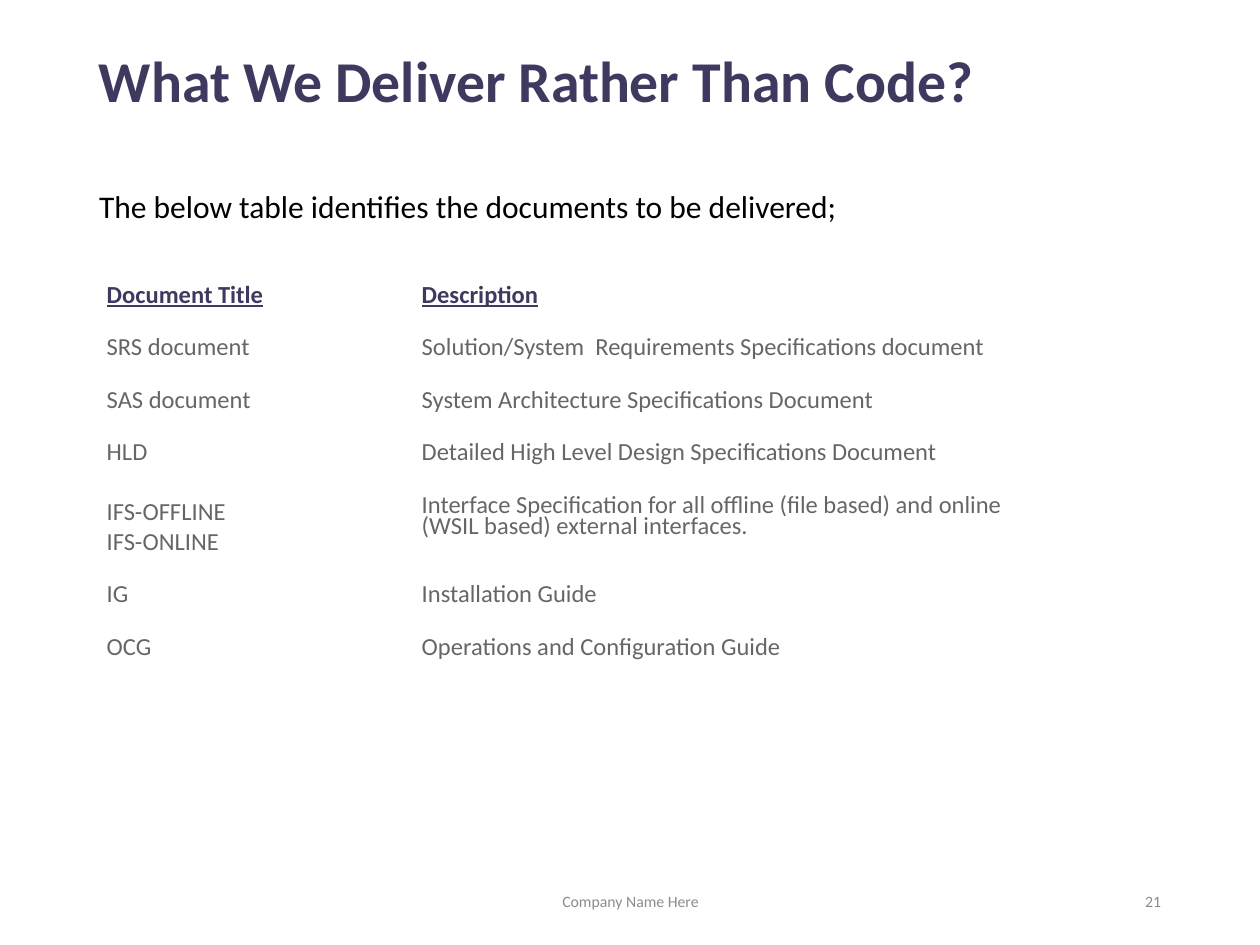
from dataclasses import dataclass

from pptx import Presentation
from pptx.dml.color import RGBColor
from pptx.enum.text import MSO_ANCHOR as Anchor, PP_ALIGN as Align
from pptx.util import Emu, Pt

EMU_PER_PX = 6350  # 144 px to the inch
FONT = "Calibri"
INDIGO = RGBColor(0x3E, 0x3A, 0x5F)
BLACK = RGBColor(0, 0, 0)
TEXT_GREY = RGBColor(0x66, 0x66, 0x66)
FOOTER_GREY = RGBColor(0x8C, 0x8C, 0x8C)

TABLE_LEFT, TABLE_TOP = 118, 294
COLUMN_WIDTHS = (360, 727)
ROW_HEIGHT = 60
CELL_SIDE, CELL_TOP = 4, 36
LIST_TOP, LIST_LINE = 34, 34


@dataclass(frozen=True)
class Style:
    size: float
    color: RGBColor
    bold: bool = False
    underline: bool = False


@dataclass(frozen=True)
class TextBlock:
    text: str
    left: int
    top: int
    width: int
    height: int
    style: Style
    align: Align = Align.LEFT
    anchor: Anchor = Anchor.MIDDLE
    line_spacing: float = 1.0


@dataclass(frozen=True)
class Document:
    titles: tuple[str, ...]
    description: str


HEADER = Style(14, INDIGO, bold=True, underline=True)
ENTRY = Style(14, TEXT_GREY)
FOOTER = Style(9, FOOTER_GREY)

BLOCKS = (
    TextBlock("What We Deliver Rather Than Code?", 99, -9, 1241, 209,
              Style(33, INDIGO, bold=True), line_spacing=0.9),
    TextBlock("The below table identifies the documents to be delivered;",
              99, 212, 1238, 147, Style(18, BLACK),
              anchor=Anchor.TOP, line_spacing=0.9),
    TextBlock("Company Name Here", 477, 1001, 487, 58, FOOTER, Align.CENTER),
    TextBlock("21", 1017, 1001, 324, 58, FOOTER, Align.RIGHT),
)

DOCUMENTS = (
    Document(("Document Title",), "Description"),
    Document(("SRS document",),
             "Solution/System  Requirements Specifications document"),
    Document(("SAS document",), "System Architecture Specifications Document"),
    Document(("HLD",), "Detailed High Level Design Specifications Document"),
    Document(("IFS-OFFLINE", "IFS-ONLINE"),
             "Interface Specification for all offline (file based) and online "
             "(WSIL based) external interfaces."),
    Document(("IG",), "Installation Guide"),
    Document(("OCG",), "Operations and Configuration Guide"),
)


def px(length: int) -> Emu:
    return Emu(length * EMU_PER_PX)


def add_run(paragraph, text: str, style: Style) -> None:
    run = paragraph.add_run()
    run.text = text
    run.font.name = FONT
    run.font.size = Pt(style.size)
    run.font.bold = style.bold
    run.font.underline = style.underline
    run.font.color.rgb = style.color


def add_text(slide, block: TextBlock) -> None:
    shape = slide.shapes.add_textbox(px(block.left), px(block.top),
                                     px(block.width), px(block.height))
    frame = shape.text_frame
    frame.word_wrap = True
    frame.vertical_anchor = block.anchor
    paragraph = frame.paragraphs[0]
    paragraph.alignment = block.align
    paragraph.line_spacing = block.line_spacing
    add_run(paragraph, block.text, block.style)


def fill_cell(cell, lines: tuple[str, ...], style: Style) -> None:
    is_list = len(lines) > 1
    cell.fill.background()
    cell.margin_left = cell.margin_right = px(CELL_SIDE)
    cell.margin_top = px(LIST_TOP if is_list else CELL_TOP)
    cell.margin_bottom = 0
    cell.vertical_anchor = Anchor.TOP
    frame = cell.text_frame
    for index, line in enumerate(lines):
        paragraph = frame.add_paragraph() if index else frame.paragraphs[0]
        if not is_list:
            paragraph.line_spacing = Pt(12)
        add_run(paragraph, line, style)


def add_document_table(slide, documents: tuple[Document, ...]) -> None:
    heights = [ROW_HEIGHT if len(document.titles) == 1
               else LIST_TOP + LIST_LINE * len(document.titles)
               for document in documents]
    table = slide.shapes.add_table(
        len(documents), len(COLUMN_WIDTHS), px(TABLE_LEFT), px(TABLE_TOP),
        px(sum(COLUMN_WIDTHS)), px(sum(heights))).table
    table.first_row = table.horz_banding = False
    for column, width in zip(table.columns, COLUMN_WIDTHS):
        column.width = px(width)
    for index, (document, height) in enumerate(zip(documents, heights)):
        table.rows[index].height = px(height)
        style = ENTRY if index else HEADER
        fill_cell(table.cell(index, 0), document.titles, style)
        fill_cell(table.cell(index, 1), (document.description,), style)


def main() -> None:
    presentation = Presentation()
    presentation.slide_width = px(1440)
    presentation.slide_height = px(1080)
    slide = presentation.slides.add_slide(presentation.slide_layouts[6])

    # Title, introduction and footer
    for block in BLOCKS:
        add_text(slide, block)

    # Deliverables
    add_document_table(slide, DOCUMENTS)
    presentation.save("out.pptx")


if __name__ == "__main__":
    main()
